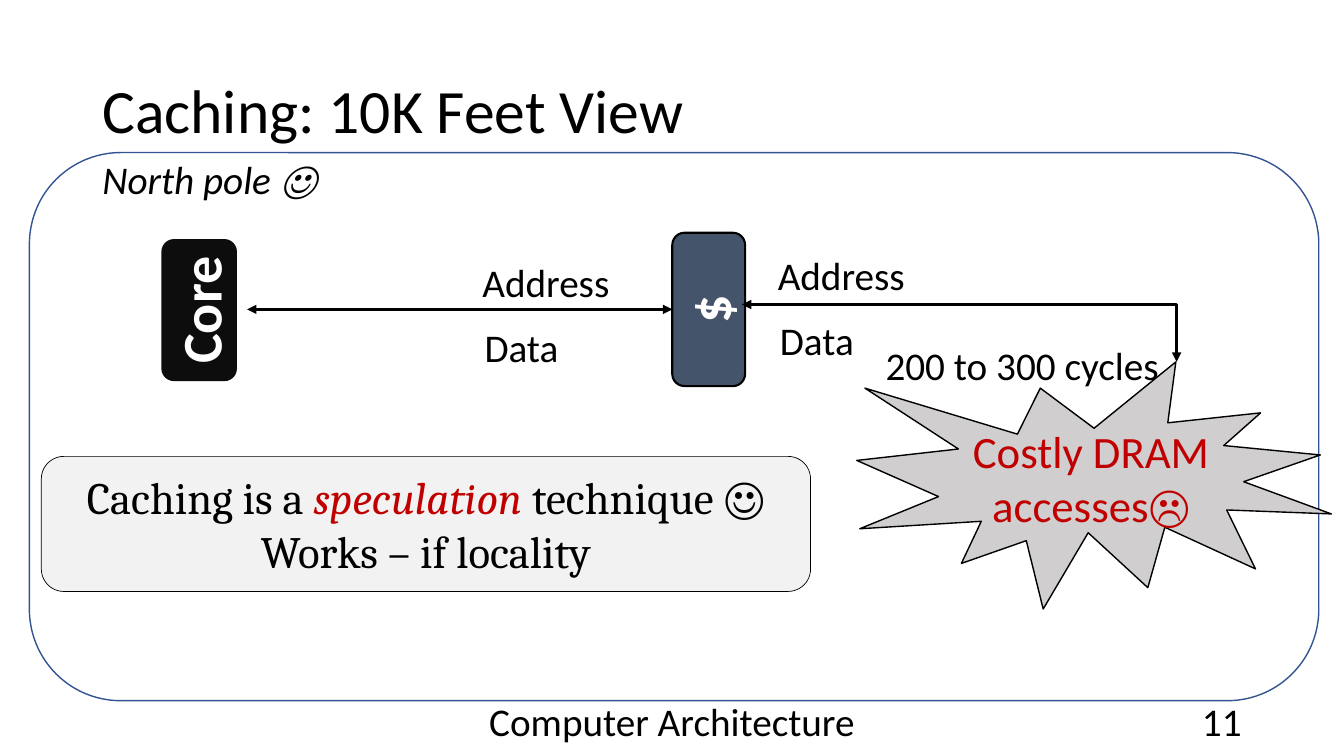
"""Build the caching overview slide."""
import pptx
import pptx.util
import pptx.dml.color
import pptx.enum.shapes
import pptx.enum.text
import pptx.oxml
import pptx.oxml.ns

Pt = pptx.util.Pt
Kind = pptx.enum.shapes.MSO_SHAPE
Link = pptx.enum.shapes.MSO_CONNECTOR
Align = pptx.enum.text.PP_ALIGN
Anchor = pptx.enum.text.MSO_ANCHOR
qn = pptx.oxml.ns.qn

COLORS = {"black": "000000", "white": "FFFFFF", "blue": "325491", "gray": "D0CECE",
          "red": "C00000", "core": "0D0D0D", "cache": "44546A", "pale": "F2F2F2"}

FRAMES = [
    ("Caching: 10K Feet View", (66, 29, 828, 104), 44, Align.LEFT),
    ("Computer Architecture", (318, 500.5, 324, 29), 28, Align.CENTER),
    ("11", (678, 500.5, 216, 29), 28, Align.RIGHT),
]
LABELS = [
    ("200 to 300 cycles", (625.5, 240.5, 212.5), False),
    ("North pole ☺", (66, 107.5, 173), True),
    ("Address", (337.5, 181, 106.5), False),
    ("Data", (339, 227.5, 67.5), False),
    ("Address", (548.5, 176, 106.5), False),
    ("Data", (550, 222.5, 67.5), False),
]
SHAPES = {
    "panel": (Kind.ROUNDED_RECTANGLE, (21, 109, 921, 391.5), 0, None, ("blue", 1)),
    "burst": (Kind.EXPLOSION1, (612, 258.5, 339, 176.5), 0, "gray", ("black", 1)),
    "core": (Kind.ROUNDED_RECTANGLE, (91.5, 194.5, 101.5, 54), 270, "core", None),
    "cache": (Kind.ROUNDED_RECTANGLE, (451.5, 195, 109.5, 52), 270, "cache", ("black", 1.5)),
    "banner": (Kind.ROUNDED_RECTANGLE, (29.5, 326, 549.5, 96.5), 0, "pale", ("black", 0.5)),
}
WORDS = {
    "burst": ([[("Costly DRAM accesses☹", "red", False)]], 32, "Calibri", False),
    "core": ([[("Core", "white", False)]], 40, "Calibri", True),
    "cache": ([[("$", "white", False)]], 40, "Calibri", True),
    "banner": ([[("Caching is a ", "black", False), ("speculation", "red", True),
                 (" technique ☺", "black", False)],
                [("Works – if locality", "black", False)]], 32, "Cambria", False),
}
BUS = (176.5, 221)
ELBOW = (530, 217.5, 840.5, 258.5)


def rgb(name):
    return pptx.dml.color.RGBColor.from_string(COLORS[name])


def write(shape, rows, size, face="Calibri", bold=False, align=Align.LEFT):
    frame = shape.text_frame
    for num, row in enumerate(rows):
        para = frame.add_paragraph() if num else frame.paragraphs[0]
        para.alignment = align
        para.font.size, para.font.name, para.font.bold = Pt(size), face, bold
        same = len(row) == 1
        for text, color, slant in row:
            run = para.add_run()
            run.text = text
            font = para.font if same else run.font
            font.color.rgb, font.italic = rgb(color), slant
    return frame


def add_text(slide, text, box, size, align=Align.LEFT, slant=False):
    shape = slide.shapes.add_textbox(*map(Pt, box))
    return write(shape, [[(text, "black", slant)]], size, align=align)


def add_shape(slide, name):
    kind, box, turn, fill, line = SHAPES[name]
    shape = slide.shapes.add_shape(kind, *map(Pt, box))
    shape.shadow.inherit = False
    shape.rotation = turn
    if fill:
        shape.fill.solid()
        shape.fill.fore_color.rgb = rgb(fill)
    else:
        shape.fill.background()
    if line:
        shape.line.color.rgb, shape.line.width = rgb(line[0]), Pt(line[1])
    else:
        shape.line.fill.background()
    if name in WORDS:
        frame = write(shape, *WORDS[name], align=Align.CENTER)
        frame.word_wrap = True
        frame.vertical_anchor = Anchor.MIDDLE
    return shape


def add_arrow(slide, kind, ends):
    arrow = slide.shapes.add_connector(kind, *map(Pt, ends))
    arrow.line.color.rgb, arrow.line.width = rgb("black"), Pt(2.25)
    props = arrow._element.spPr
    for tag in ("a:headEnd", "a:tailEnd"):
        tip = pptx.oxml.ns.qn(tag)
        arrow.line._get_or_add_ln().append(
            props.makeelement(tip, {"type": "triangle"}))
    props.append(props.makeelement(qn("a:effectLst"), {}))
    return arrow


def main():
    deck = pptx.Presentation()
    deck.slide_width, deck.slide_height = Pt(960), Pt(540)
    slide = deck.slides.add_slide(deck.slide_layouts[6])

    for text, box, size, align in FRAMES:
        frame = add_text(slide, text, box, size, align)
        frame.word_wrap = True
        frame.vertical_anchor = Anchor.MIDDLE
        if size == 44:
            frame.paragraphs[0].line_spacing = 0.9

    parts = {name: add_shape(slide, name) for name in SHAPES}

    left, top, wide, high = SHAPES["cache"][1]
    side = left + (wide - high) / 2
    bus = add_arrow(slide, Link.STRAIGHT, (side, BUS[1], *BUS))
    bus.begin_connect(parts["cache"], 0)
    bus.begin_x, bus.begin_y = Pt(side), Pt(top + high / 2)

    bend = add_arrow(slide, Link.ELBOW, ELBOW)
    bend._element.spPr.find(qn("a:prstGeom")).set("prst", "bentConnector2")

    for text, spot, slant in LABELS:
        frame = add_text(slide, text, (*spot, 41), 28, slant=slant)
        frame.word_wrap = False

    deck.save("out.pptx")


if __name__ == "__main__":
    main()
